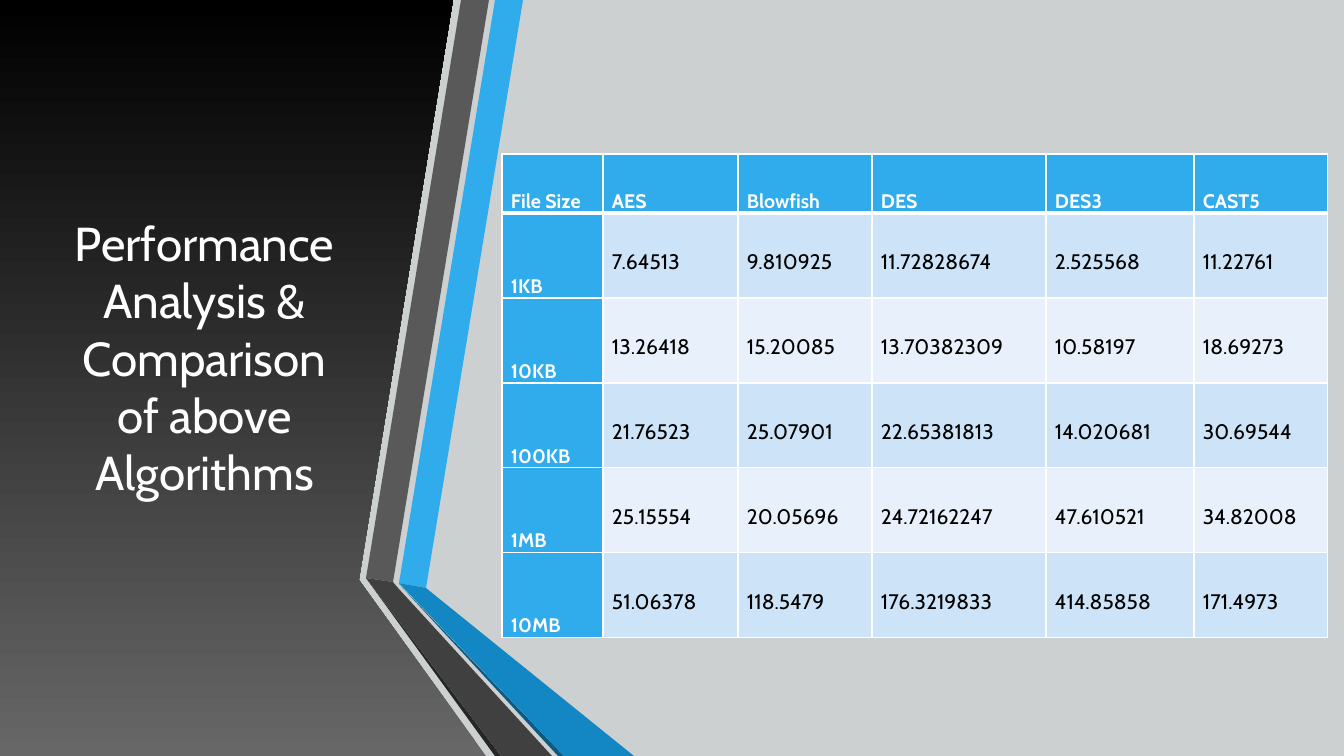
from dataclasses import dataclass

from lxml.etree import SubElement
from pptx import Presentation
from pptx.dml.color import RGBColor
from pptx.enum.text import MSO_ANCHOR, PP_ALIGN
from pptx.oxml.ns import qn
from pptx.util import Pt

EMU_PER_PX = 914400 / 100.8
FONT = "Cabin"
WHITE, BLACK, BACKDROP = "FFFFFF", "000000", "CDD0D1"
BLUE, PALE, PALER = "30ACEC", "CDE3F8", "E8F1FB"


def px(n: float) -> int:
    return round(n * EMU_PER_PX)


def rgb(color: str) -> RGBColor:
    return RGBColor.from_string(color)


@dataclass
class Ribbon:
    color: str
    points: list[tuple[int, int]]


@dataclass
class CellStyle:
    fill: str
    color: str
    size: int
    bold: bool
    anchor: MSO_ANCHOR


PANEL = [(0, 0), (453, 0), (359, 580), (486, 756), (0, 756)]
RIBBONS = [
    Ribbon(BLUE, [(399, 583), (426, 588), (523, 0), (495, 0)]),
    Ribbon("595959", [(489, 0), (461, 0), (366, 578), (393, 582)]),
    Ribbon("262626", [(366, 578), (495, 756), (501, 756)]),
    Ribbon("0C5A82", [(399, 584), (558, 756), (564, 756)]),
    Ribbon("1287C3", [(399, 583), (564, 756), (634, 756), (426, 588)]),
    Ribbon("404040", [(552, 756), (398, 588), (393, 582), (366, 578), (501, 756)]),
]

COLUMNS = [101, 135, 134, 174, 148, 134]
HEADER_HEIGHT, ROW_HEIGHT = 59, 85
TIMINGS = [
    ["File Size", "AES", "Blowfish", "DES", "DES3", "CAST5"],
    ["1KB", "7.64513", "9.810925", "11.72828674", "2.525568", "11.22761"],
    ["10KB", "13.26418", "15.20085", "13.70382309", "10.58197", "18.69273"],
    ["100KB", "21.76523", "25.07901", "22.65381813", "14.020681", "30.69544"],
    ["1MB", "25.15554", "20.05696", "24.72162247", "47.610521", "34.82008"],
    ["10MB", "51.06378", "118.5479", "176.3219833", "414.85858", "171.4973"],
]
HEADING = CellStyle(BLUE, WHITE, 14, True, MSO_ANCHOR.BOTTOM)
BANDS = [CellStyle(fill, BLACK, 15, False, MSO_ANCHOR.MIDDLE) for fill in (PALER, PALE)]


def add_polygon(shapes, points: list[tuple[int, int]]):
    start, *rest = [(px(x), px(y)) for x, y in points]
    builder = shapes.build_freeform(*start)
    builder.add_line_segments(rest, close=True)
    sp = builder.convert_to_shape()
    sp.shadow.inherit = False
    sp.line.fill.background()
    return sp


def format_run(r, size: int, color: str, bold: bool = False) -> None:
    r.font.name, r.font.size, r.font.bold = FONT, Pt(size), bold
    r.font.color.rgb = rgb(color)


def add_borders(cell, top: int, bottom: int) -> None:
    tc_pr = cell._tc.get_or_add_tcPr()
    for side, width in (("L", 1), ("R", 1), ("T", top), ("B", bottom)):
        ln = SubElement(tc_pr, qn(f"a:ln{side}"), w=str(Pt(width)))
        SubElement(SubElement(ln, qn("a:solidFill")), qn("a:srgbClr"), val=WHITE)


def fill_cell(cell, text: str, style: CellStyle) -> None:
    cell.fill.solid()
    cell.fill.fore_color.rgb = rgb(style.fill)
    cell.vertical_anchor = style.anchor
    cell.margin_left = cell.margin_right = px(9)
    cell.margin_top = cell.margin_bottom = 0
    cell.text_frame.text = text
    p = cell.text_frame.paragraphs[0]
    p.line_spacing = 1.5
    format_run(p.runs[0], style.size, style.color, style.bold)


prs = Presentation()
prs.slide_width, prs.slide_height = px(1344), px(756)
s = prs.slides.add_slide(prs.slide_layouts[6])
s.background.fill.solid()
s.background.fill.fore_color.rgb = rgb(BACKDROP)

# Dark panel, grey at the bottom and black at the top
panel = add_polygon(s.shapes, PANEL)
panel.fill.gradient()
panel.fill.gradient_angle = 90
for stop, color in zip(panel.fill.gradient_stops, ("676767", BLACK)):
    stop.color.rgb = rgb(color)

# Title
title = s.shapes.add_textbox(px(59), px(76), px(291), px(562))
tf = title.text_frame
tf.word_wrap = True
tf.vertical_anchor = MSO_ANCHOR.MIDDLE
tf.text = "Performance Analysis & Comparison of above Algorithms"
p = tf.paragraphs[0]
p.alignment = PP_ALIGN.CENTER
format_run(p.runs[0], 34, WHITE)

# Folded ribbons
ribbons = s.shapes.add_group_shape()
for ribbon in RIBBONS:
    sp = add_polygon(ribbons.shapes, ribbon.points)
    sp.fill.solid()
    sp.fill.fore_color.rgb = rgb(ribbon.color)

# Timing table
heights = [HEADER_HEIGHT] + [ROW_HEIGHT] * (len(TIMINGS) - 1)
table = s.shapes.add_table(len(TIMINGS), len(COLUMNS), px(502), px(154),
                           px(sum(COLUMNS)), px(sum(heights))).table
for column, width in zip(table.columns, COLUMNS):
    column.width = px(width)
for i, (row, height, texts) in enumerate(zip(table.rows, heights, TIMINGS)):
    row.height = px(height)
    for j, (cell, text) in enumerate(zip(row.cells, texts)):
        add_borders(cell, top=3 if i == 1 else 1, bottom=3 if i == 0 else 1)
        fill_cell(cell, text, HEADING if i == 0 or j == 0 else BANDS[i % 2])

prs.save("out.pptx")
